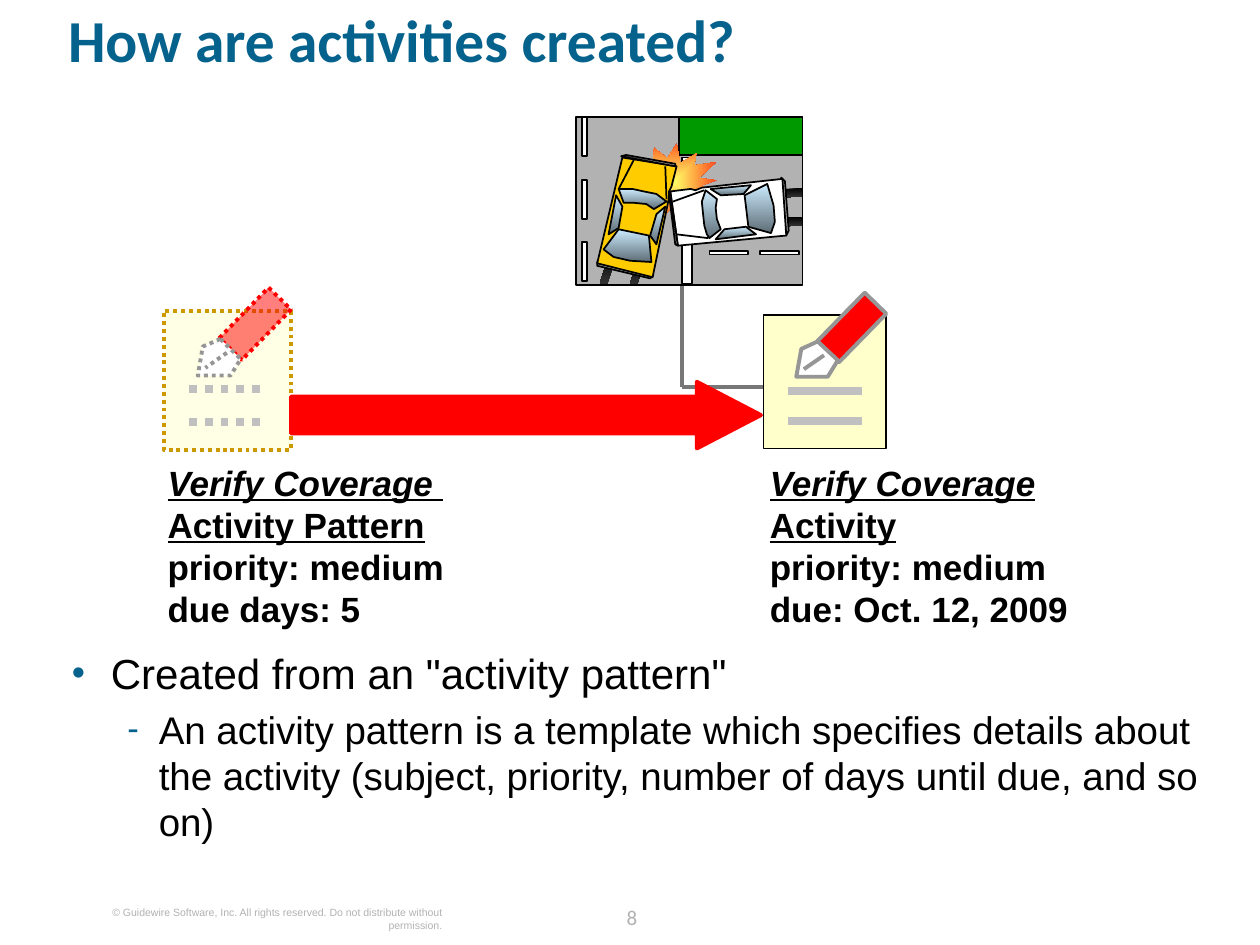
from lxml.etree import SubElement
from pptx import Presentation
from pptx.dml.color import RGBColor
from pptx.enum.dml import MSO_LINE
from pptx.enum.shapes import MSO_CONNECTOR, MSO_SHAPE
from pptx.enum.text import MSO_ANCHOR, MSO_AUTO_SIZE, PP_ALIGN
from pptx.oxml.ns import qn
from pptx.util import Pt

PX = 9144
COLORS = {
    "title": "04628C", "text": "000000", "footer": "B2B2B2", "black": "000000", "white": "FFFFFF",
    "paper": "FFFFCC", "pattern": "CC9900", "red": "FF0000", "rule": "C0C0C0", "pen": "969696",
    "link": "777777", "road": "B2B2B2", "grass": "009900", "taxi": "FFCC00", "tire": "333333",
    "flash": "FFFF66", "glass": "CCECFF", "glass_dark": "5E6D76",
}
FRAME = {"margin_left": 0, "margin_top": 0, "margin_right": 0, "margin_bottom": 0, "word_wrap": True,
         "auto_size": MSO_AUTO_SIZE.NONE, "vertical_anchor": MSO_ANCHOR.TOP}
TIRES = [
    [(611, 157), (637, 156), (637, 149), (611, 151)], [(611, 180), (637, 179), (637, 172), (611, 173)],
    [(484, 200), (476, 225), (482, 225), (490, 202)], [(506, 206), (500, 225), (506, 225), (512, 206)],
]
REAR_BUMPERS = [[(474, 208), (518, 219), (516, 221), (474, 211)],
                [(620, 141), (624, 187), (626, 183), (623, 144)]]
FRONT_BUMPERS = [[(538, 195), (532, 152), (531, 154), (536, 194)],
                 [(493, 124), (497, 123), (536, 130), (536, 132)]]
CARS = [
    ("taxi", [(494, 125), (474, 209), (518, 220), (531, 157), (531, 152), (533, 148), (537, 132)],
     [[(491, 150), (495, 161), (503, 161), (513, 162), (519, 166), (529, 160),
       (521, 154), (511, 152), (502, 150), (495, 150)],
      [(491, 182), (479, 198), (487, 204), (500, 207), (517, 208), (515, 187)],
      [(521, 170), (528, 164), (521, 194), (516, 187)],
      [(494, 164), (491, 181), (483, 186), (489, 155)]],
     [((491, 150), (503, 127)), ((529, 158), (528, 132))]),
    ("white", [(538, 195), (624, 187), (621, 142), (557, 149), (552, 151), (548, 150), (532, 152)],
     [[(563, 189), (572, 182), (569, 174), (568, 165), (569, 158), (560, 151),
       (557, 160), (558, 170), (559, 179), (561, 186)],
      [(594, 180), (612, 185), (615, 176), (614, 163), (609, 146), (591, 155)],
      [(572, 155), (564, 150), (596, 147), (590, 154)],
      [(575, 182), (592, 180), (600, 186), (568, 190)]],
     [((562, 189), (537, 186)), ((559, 151), (534, 160))]),
]

def color(name):
    return RGBColor.from_string(COLORS[name])

def set_values(target, values):
    for name, value in values.items():
        setattr(target, name, value)

def set_line(line, name, width, dash=None):
    line.color.rgb = color(name)
    set_values(line, {"width": Pt(width), "dash_style": dash})

def paint(shape, fill, line=None, width=1, dash=None, alpha=None):
    shape.shadow.inherit = False
    if isinstance(fill, tuple):
        shape.fill.gradient()
        shape.fill.gradient_angle = 270
        for stop, name, position in zip(shape.fill.gradient_stops, fill, (0, 1)):
            stop.color.rgb = color(name)
            stop.position = position
    else:
        shape.fill.solid()
        shape.fill.fore_color.rgb = color(fill)
    if alpha:
        value = shape._element.spPr.find(qn("a:solidFill"))[0]
        SubElement(value, qn("a:alpha")).set("val", str(alpha * 1000))
    if line:
        set_line(shape.line, line, width, dash)
    else:
        shape.line.fill.background()
    return shape

def add_preset(shapes, kind, box, fill, rotation=0, **style):
    shape = shapes.add_shape(kind, *(value * PX for value in box))
    shape.rotation = rotation
    return paint(shape, fill, **style)

def add_outline(shapes, points, fill, **style):
    builder = shapes.build_freeform(*points[0], scale=PX)
    builder.add_line_segments(points[1:], close=True)
    paint(builder.convert_to_shape(), fill, **style)

def add_line(shapes, start, end, name, width, dash=None):
    connector = shapes.add_connector(MSO_CONNECTOR.STRAIGHT, *(value * PX for value in start + end))
    set_line(connector.line, name, width, dash)
    SubElement(connector._element.spPr, qn("a:effectLst"))

def add_run(paragraph, text, color_name, **values):
    run = paragraph.add_run()
    run.text = text
    run.font.color.rgb = color(color_name)
    set_values(run.font, {"name": "Arial", **values})

def add_text(slide, box):
    text_box = slide.shapes.add_textbox(*(value * PX for value in box))
    set_values(text_box.text_frame, FRAME)
    return text_box.text_frame.paragraphs[0]

def place(placeholder, box):
    sides = ("left", "top", "width", "height")
    set_values(placeholder, {side: value * PX for side, value in zip(sides, box)})
    set_values(placeholder.text_frame, FRAME)
    return placeholder.text_frame

def add_bullet(paragraph, text, character, level, margin, indent, size, before):
    set_values(paragraph, {"level": level, "space_before": Pt(before)})
    properties = paragraph._p.get_or_add_pPr()
    properties.set("marL", str(margin * PX))
    properties.set("indent", str(-indent * PX))
    bullet_color = SubElement(properties, qn("a:buClr"))
    SubElement(bullet_color, qn("a:srgbClr")).set("val", COLORS["title"])
    SubElement(properties, qn("a:buSzPct")).set("val", "90000")
    SubElement(properties, qn("a:buFont")).set("typeface", "Arial")
    SubElement(properties, qn("a:buChar")).set("char", character)
    add_run(paragraph, text, "text", size=Pt(size))

def add_label(slide, box, lines):
    paragraph = add_text(slide, box)
    for index, line in enumerate(lines):
        if index:
            paragraph.add_line_break()
        add_run(paragraph, line, "text", size=Pt(20), bold=True, italic=index == 0, underline=index < 2)

def add_document(shapes, left, top, scale, border, pen_border, width, dash=None, alpha=None):
    def at(x, y):
        return left + round(x * scale), top + round(y * scale)

    def size(*lengths):
        return tuple(round(length * scale) for length in lengths)

    add_preset(shapes, MSO_SHAPE.RECTANGLE, (left, top) + size(101, 110), "paper",
               line=border, width=width, dash=dash, alpha=alpha)
    for y in (88, 62):
        add_line(shapes, at(20, y), at(81, y), "rule", 4.5, dash)
    add_preset(shapes, MSO_SHAPE.RECTANGLE, at(60, -18) + size(25, 56), "red", 44.3,
               line=pen_border, width=2.25, dash=dash, alpha=alpha)
    nib = [(45, 22), (31, 28), (27, 51), (53, 51), (61, 38)]
    add_outline(shapes, [at(*point) for point in nib], "white", line="pen", width=2.25, dash=dash)
    add_line(shapes, at(50, 33), at(33, 45), "pen", 2.25, dash)

def add_flash(shapes):
    flash = add_preset(shapes, MSO_SHAPE.EXPLOSION2, (501, 110, 68, 69), ("flash", "red"), 44.7)
    gradient = flash._element.spPr.find(qn("a:gradFill"))
    gradient.remove(gradient.find(qn("a:lin")))
    shading = SubElement(gradient, qn("a:path"))
    shading.set("path", "shape")
    center = SubElement(shading, qn("a:fillToRect"))
    for side in "ltrb":
        center.set(side, "50000")

def add_crash(shapes):
    def outline_all(outlines, fill, line="black"):
        for points in outlines:
            add_outline(shapes, points, fill, line=line)

    marks = [(541, 125, 8, 100)]
    marks += [(462, top, 4, 31) for top in (93, 143, 192)]
    marks += [(left, 199, 31, 3) for left in (563, 603)]
    add_preset(shapes, MSO_SHAPE.RECTANGLE, (457, 93, 180, 133), "road", line="black")
    outline_all(TIRES, ("black", "tire"), None)
    add_preset(shapes, MSO_SHAPE.RECTANGLE, (539, 93, 98, 30), "grass", line="black")
    for box in marks:
        add_preset(shapes, MSO_SHAPE.RECTANGLE, box, "white", line="black")
    add_flash(shapes)
    outline_all(REAR_BUMPERS, "road")
    for paintwork, body, windows, creases in CARS:
        outline_all([body], paintwork)
        outline_all(windows, ("glass", "glass_dark"))
        for start, end in creases:
            add_line(shapes, start, end, "black", 1)
    outline_all(FRONT_BUMPERS, "road")

def main():
    presentation = Presentation()
    set_values(presentation, {"slide_width": 1000 * PX, "slide_height": 750 * PX})
    slide = presentation.slides.add_slide(presentation.slide_layouts[1])
    title = place(slide.shapes.title, (54, 13, 910, 81)).paragraphs[0]
    set_values(title, {"alignment": PP_ALIGN.LEFT, "line_spacing": 0.8})
    add_run(title, "How are activities created?", "title", name="Calibri", size=Pt(34), bold=True)
    body = place(slide.placeholders[1], (57, 514, 910, 185))
    add_bullet(body.paragraphs[0], 'Created from an "activity pattern"', "•", 0, 31, 31, 24, 0)
    add_bullet(body.add_paragraph(), "An activity pattern is a template which specifies details about the "
               "activity (subject, priority, number of days until due, and so on)", "-", 1, 69, 25, 22, 4.4)
    pattern = slide.shapes.add_group_shape().shapes
    add_document(pattern, 130, 247, 1, "pattern", "red", 2.25, MSO_LINE.ROUND_DOT, 50)
    add_label(slide, (133, 366, 320, 135),
              ["Verify Coverage ", "Activity Pattern", "priority: medium", "due days: 5"])
    activity = slide.shapes.add_group_shape().shapes
    for end in ((647, 307), (541, 225)):
        add_line(activity, (541, 307), end, "link", 2.25)
    add_document(activity, 606, 250, 0.96, "black", "pen", 1)
    add_crash(activity)
    add_label(slide, (611, 366, 269, 135),
              ["Verify Coverage", "Activity", "priority: medium", "due: Oct. 12, 2009"])
    arrow = add_preset(slide.shapes, MSO_SHAPE.RIGHT_ARROW, (231, 303, 373, 53), "red", line="red", width=2.25)
    for index, value in enumerate((0.55, 0.96)):
        arrow.adjustments[index] = value
    number = add_text(slide, (473, 713, 57, 25))
    set_values(number, {"alignment": PP_ALIGN.CENTER, "line_spacing": Pt(18)})
    add_run(number, "8", "footer", name="Calibri", size=Pt(12))
    notice = add_text(slide, (61, 719, 290, 10))
    notice.alignment = PP_ALIGN.RIGHT
    add_run(notice, "© Guidewire Software, Inc. All rights reserved. Do not distribute without permission.",
            "footer", size=Pt(6))
    presentation.save("out.pptx")

if __name__ == "__main__":
    main()
